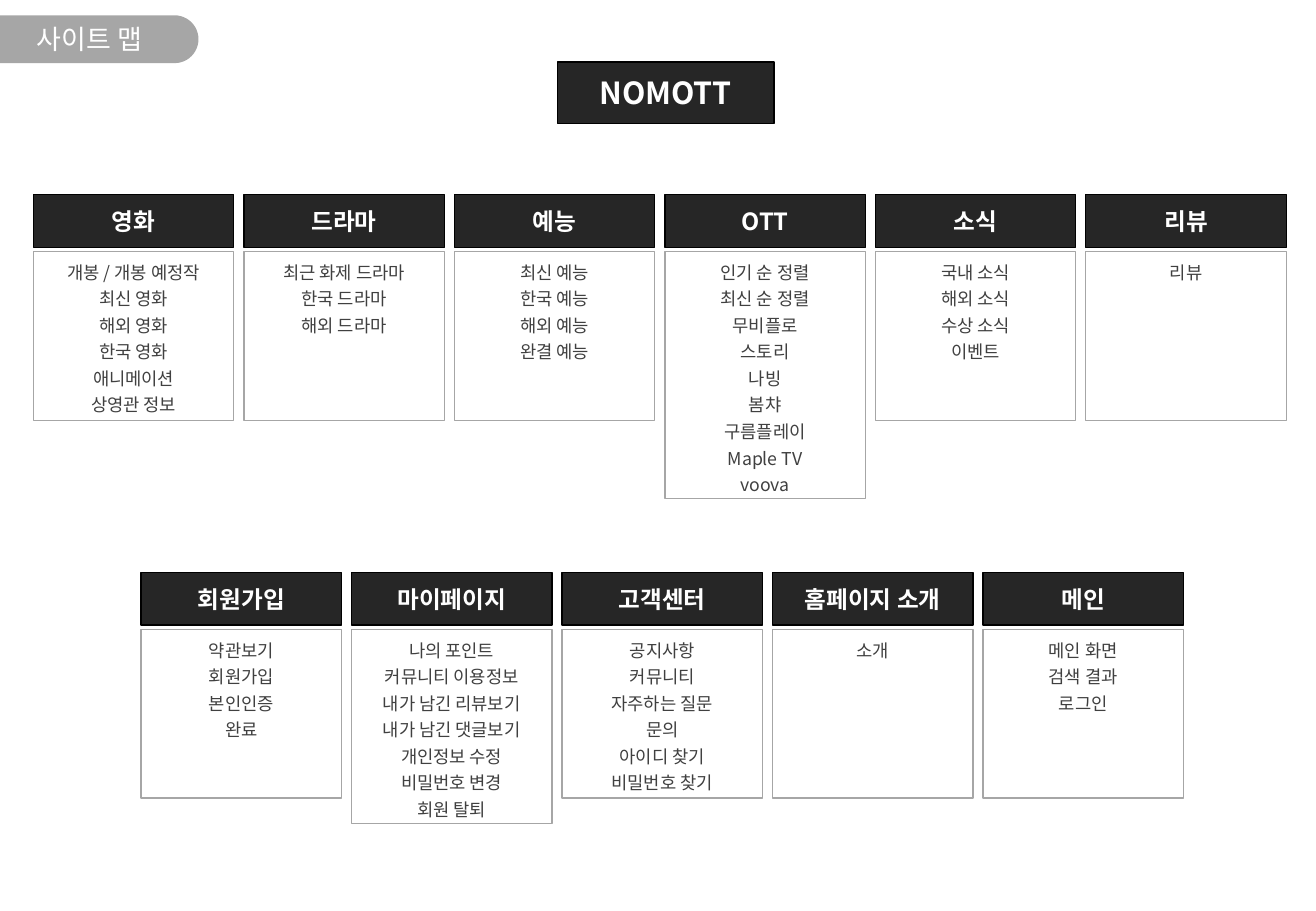
import pptx
import pptx.util
import pptx.dml.color
import pptx.enum.shapes
import pptx.enum.text
import pptx.oxml.ns
import lxml.etree

Cm = pptx.util.Cm
Pt = pptx.util.Pt
Color = pptx.dml.color.RGBColor
Kind = pptx.enum.shapes.MSO_SHAPE
Anchor = pptx.enum.text.MSO_ANCHOR
Align = pptx.enum.text.PP_ALIGN

FONT = "Noto Sans CJK KR"
BLACK = Color(0x00, 0x00, 0x00)
DARK = Color(0x26, 0x26, 0x26)
TEXT = Color(0x40, 0x40, 0x40)
GRAY = Color(0xA6, 0xA6, 0xA6)
WHITE = Color(0xFF, 0xFF, 0xFF)

PITCH = 4.4
WIDTH = 4.19
HEAD = 1.1
DROP = 1.19

TOP_ROW = [
    ("영화", ["개봉 / 개봉 예정작", "최신 영화", "해외 영화", "한국 영화",
            "애니메이션", "상영관 정보"]),
    ("드라마", ["최근 화제 드라마", "한국 드라마", "해외 드라마"]),
    ("예능", ["최신 예능", "한국 예능", "해외 예능", "완결 예능"]),
    ("OTT", ["인기 순 정렬", "최신 순 정렬", "무비플로", "스토리", "나빙",
             "봄챠", "구름플레이", "Maple TV", "voova"]),
    ("소식", ["국내 소식", "해외 소식", "수상 소식", "이벤트"]),
    ("리뷰", ["리뷰"]),
]
LOW_ROW = [
    ("회원가입", ["약관보기", "회원가입", "본인인증", "완료"]),
    ("마이페이지", ["나의 포인트", "커뮤니티 이용정보", "내가 남긴 리뷰보기",
               "내가 남긴 댓글보기", "개인정보 수정", "비밀번호 변경", "회원 탈퇴"]),
    ("고객센터", ["공지사항", "커뮤니티", "자주하는 질문", "문의", "아이디 찾기",
              "비밀번호 찾기"]),
    ("홈페이지 소개", ["소개"]),
    ("메인", ["메인 화면", "검색 결과", "로그인"]),
]


def write(shape, lines, size, color, bold=False, space=1.0, anchor=Anchor.MIDDLE):
    frame = shape.text_frame
    frame.text = "\n".join(lines)
    frame.word_wrap = False
    frame.vertical_anchor = anchor
    frame.margin_left = frame.margin_right = Cm(0.1)
    frame.margin_top = frame.margin_bottom = Cm(0.1)
    for para in frame.paragraphs:
        para.alignment = Align.CENTER
        para.line_spacing = space
        for run in para.runs:
            font = run.font
            font.name = FONT
            font.size = Pt(size)
            font.bold = bold
            font.color.rgb = color
            east = lxml.etree.SubElement(font._element, pptx.oxml.ns.qn("a:ea"))
            east.set("typeface", FONT)


def box(slide, left, top, width, height, fill, line):
    shape = slide.shapes.add_shape(
        Kind.RECTANGLE, Cm(left), Cm(top), Cm(width), Cm(height))
    shape.shadow.inherit = False
    if fill is None:
        shape.fill.background()
    else:
        shape.fill.solid()
        shape.fill.fore_color.rgb = fill
    shape.line.color.rgb = line
    shape.line.width = Pt(0.75)
    return shape


def tab(slide, left, top, width, height, label):
    shape = slide.shapes.add_shape(
        Kind.ROUND_2_SAME_RECTANGLE,
        Cm(left + (width - height) / 2), Cm(top + (height - width) / 2),
        Cm(height), Cm(width))
    shape.rotation = 270
    shape.adjustments[0] = 0
    shape.adjustments[1] = 0.5
    shape.shadow.inherit = False
    shape.fill.solid()
    shape.fill.fore_color.rgb = GRAY
    shape.line.fill.background()
    title = slide.shapes.add_textbox(
        Cm(left), Cm(top), Cm(width * 0.9), Cm(height))
    write(title, [label], 16, WHITE)


def root(slide, left, top, width, height, label):
    shape = box(slide, left, top, width, height, DARK, BLACK)
    write(shape, [label], 18, WHITE, bold=True)


def card(slide, left, top, label, items):
    head = box(slide, left, top, WIDTH, HEAD, DARK, BLACK)
    write(head, [label], 14, WHITE, bold=True)
    height = max(3.53, 0.55 * len(items) + 0.21)
    body = box(slide, left, top + DROP, WIDTH, height, None, GRAY)
    write(body, items, 10.5, TEXT, space=1.25, anchor=Anchor.TOP)


def row(slide, left, top, cards):
    for index, (label, items) in enumerate(cards):
        card(slide, left + index * PITCH, top, label, items)


def main():
    deck = pptx.Presentation()
    deck.slide_width = Cm(27.51)
    deck.slide_height = Cm(19.05)
    slide = deck.slides.add_slide(deck.slide_layouts[6])
    tab(slide, 0, 0.32, 4.15, 1, "사이트 맵")
    root(slide, 11.65, 1.3, 4.53, 1.28, "NOMOTT")
    row(slide, 0.7, 4.07, TOP_ROW)
    row(slide, 2.95, 11.97, LOW_ROW)
    deck.save("out.pptx")


if __name__ == "__main__":
    main()
